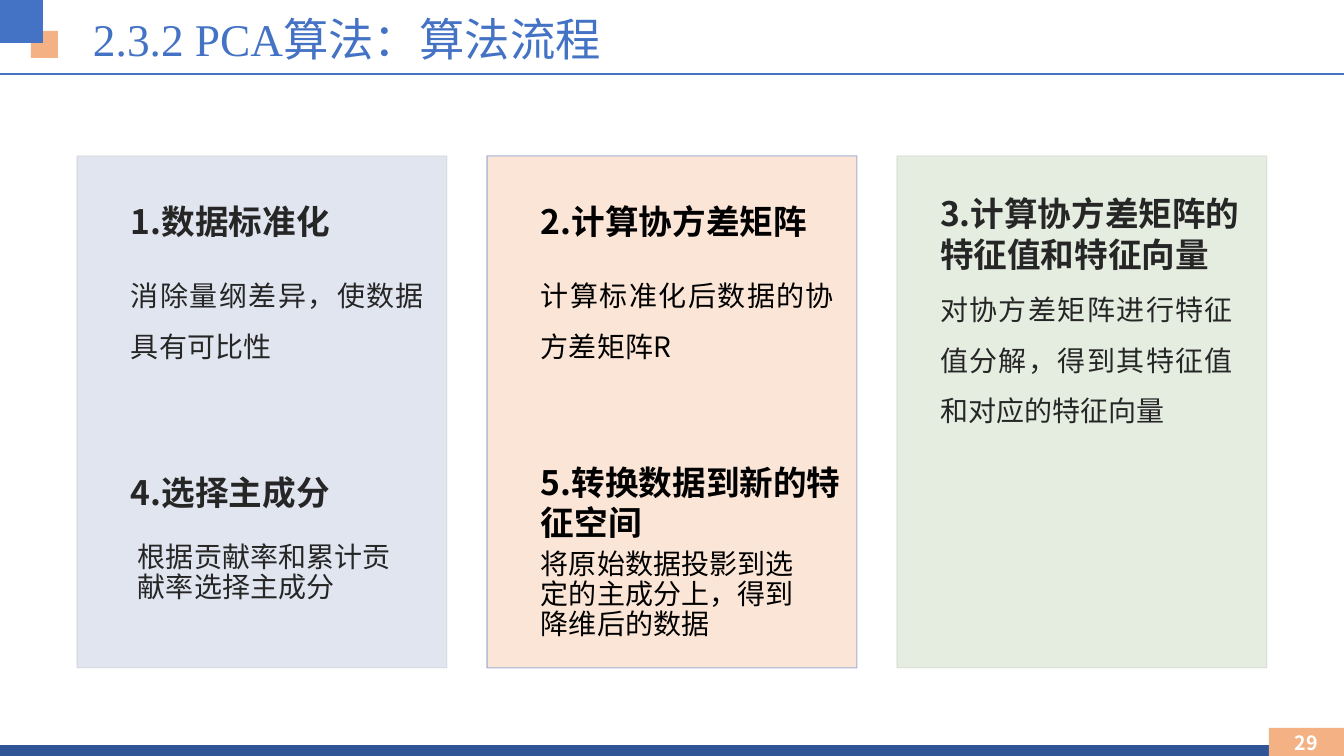
import pptx
import pptx.util
import pptx.dml.color
import pptx.enum.shapes
import pptx.enum.text
import pptx.oxml.ns
import lxml.etree

SCALE = 914400 / 100.8
SANS = "Noto Sans CJK SC"
ALIGN = pptx.enum.text.PP_ALIGN
ANCHOR = pptx.enum.text.MSO_ANCHOR
BLUE, ORANGE, DARK, BLACK = "4472C4", "F4B183", "262626", "000000"


def px(length):
    """Turn pixels into EMU."""
    return pptx.util.Emu(round(length * SCALE))


def paint(color_format, color, alpha=100):
    """Set a colour from a hex string, with an opacity in percent."""
    color_format.rgb = pptx.dml.color.RGBColor.from_string(color)
    if alpha < 100:
        node = color_format._xFill.find(pptx.oxml.ns.qn("a:srgbClr"))
        lxml.etree.SubElement(node, pptx.oxml.ns.qn("a:alpha")).set("val", str(alpha * 1000))


def add_rect(page, box, fill, alpha=100, line=None, line_alpha=100):
    """Add a flat rectangle with an optional thin outline."""
    shape = page.shapes.add_shape(pptx.enum.shapes.MSO_SHAPE.RECTANGLE, *map(px, box))
    shape.shadow.inherit = False
    shape.fill.solid()
    paint(shape.fill.fore_color, fill, alpha)
    if line:
        shape.line.width = pptx.util.Pt(0.75)
        shape.line.fill.solid()
        paint(shape.line.fill.fore_color, line, line_alpha)
    else:
        shape.line.fill.background()
    return shape


def add_rule(page, y, color, width):
    """Draw a line across the whole page."""
    rule = page.shapes.add_connector(
        pptx.enum.shapes.MSO_CONNECTOR.STRAIGHT, 0, px(y), px(1344), px(y))
    paint(rule.line.color, color)
    rule.line.width = pptx.util.Pt(width)
    lxml.etree.SubElement(rule._element.spPr, pptx.oxml.ns.qn("a:effectLst"))


def write(frame, text, size, color, font=SANS, bold=False, align=ALIGN.LEFT,
          anchor=ANCHOR.MIDDLE, spacing=1.0, inset=0):
    """Fill a text frame with one formatted paragraph."""
    frame.word_wrap = True
    frame.auto_size = pptx.enum.text.MSO_AUTO_SIZE.NONE
    frame.vertical_anchor = anchor
    frame.margin_left = frame.margin_right = px(inset)
    frame.margin_top = frame.margin_bottom = 0
    para = frame.paragraphs[0]
    para.text = text
    para.alignment = align
    para.line_spacing = spacing
    para.font.name = font
    para.font.size = pptx.util.Pt(size)
    para.font.bold = bold
    paint(para.font.fill_color if hasattr(para.font, "fill_color") else para.font.color, color)


def add_header(page, title):
    """Place the corner squares, the title and its rule."""
    add_rule(page, 74, BLUE, 1.5)
    add_rect(page, (31, 31, 27, 27), ORANGE)
    add_rect(page, (0, 0, 43, 43), BLUE)
    holder = page.shapes.title
    holder.left, holder.top, holder.width, holder.height = map(px, (83, 5, 968, 67))
    write(holder.text_frame, title, 32.4, BLUE, font="Times New Roman", inset=10)


def add_footer(page, number):
    """Place the bottom bar and the page number."""
    add_rule(page, 751, "2F5597", 8)
    tag = add_rect(page, (1269, 728, 75, 29), ORANGE)
    write(tag.text_frame, number, 14, "FFFFFF", bold=True, align=ALIGN.CENTER)


def add_step(page, box, heading, body, color):
    """Place a heading and its body text, each in a box relative to the card."""
    left, top = box[:2]
    for text, (x, y, width, height), style in (
            (heading[0], heading[1], {"size": 24, "bold": True}),
            (body[0], body[1], {"size": 20, "anchor": ANCHOR.TOP, **body[2]})):
        area = page.shapes.add_textbox(*map(px, (left + x, top + y, width, height)))
        write(area.text_frame, text, color=color, **style)


def add_card(page, box, look, color, steps):
    """Draw one column card and the steps inside it."""
    add_rect(page, box, **look)
    for heading, body in steps:
        add_step(page, box, heading, body, color)


def main():
    """Build the slide and save it."""
    deck = pptx.Presentation()
    deck.slide_width, deck.slide_height = px(1344), px(756)
    page = deck.slides.add_slide(deck.slide_layouts[5])
    add_header(page, "2.3.2 PCA算法：算法流程")
    loose = {"align": ALIGN.JUSTIFY, "spacing": 1.5}
    tight = {"spacing": 0.9}
    gray_line = {"alpha": 15, "line": "999999", "line_alpha": 20}
    cards = (
        ({"fill": "2F5597", **gray_line}, DARK, (
            (("1.数据标准化", (54, 36, 293, 58)),
             ("消除量纲差异，使数据具有可比性", (54, 106, 293, 88), loose)),
            (("4.选择主成分", (54, 305, 306, 62)),
             ("根据贡献率和累计贡献率选择主成分", (61, 387, 265, 73), tight)))),
        ({"fill": "FBE5D6", "line": BLUE, "line_alpha": 50}, BLACK, (
            (("2.计算协方差矩阵", (54, 36, 293, 58)),
             ("计算标准化后数据的协方差矩阵R", (54, 106, 293, 155), loose)),
            (("5.转换数据到新的特征空间", (54, 324, 300, 44)),
             ("将原始数据投影到选定的主成分上，得到降维后的数据", (54, 394, 276, 107), tight)))),
        ({"fill": "548235", **gray_line}, DARK, (
            (("3.计算协方差矩阵的特征值和特征向量", (43, 40, 316, 75)),
             ("对协方差矩阵进行特征值分解，得到其特征值和对应的特征向量",
              (43, 120, 293, 155), loose)),)),
    )
    for column, (look, color, steps) in enumerate(cards):
        add_card(page, (77 + 410 * column, 156, 370, 512), look, color, steps)
    add_footer(page, "29")
    deck.save("out.pptx")


if __name__ == "__main__":
    main()
